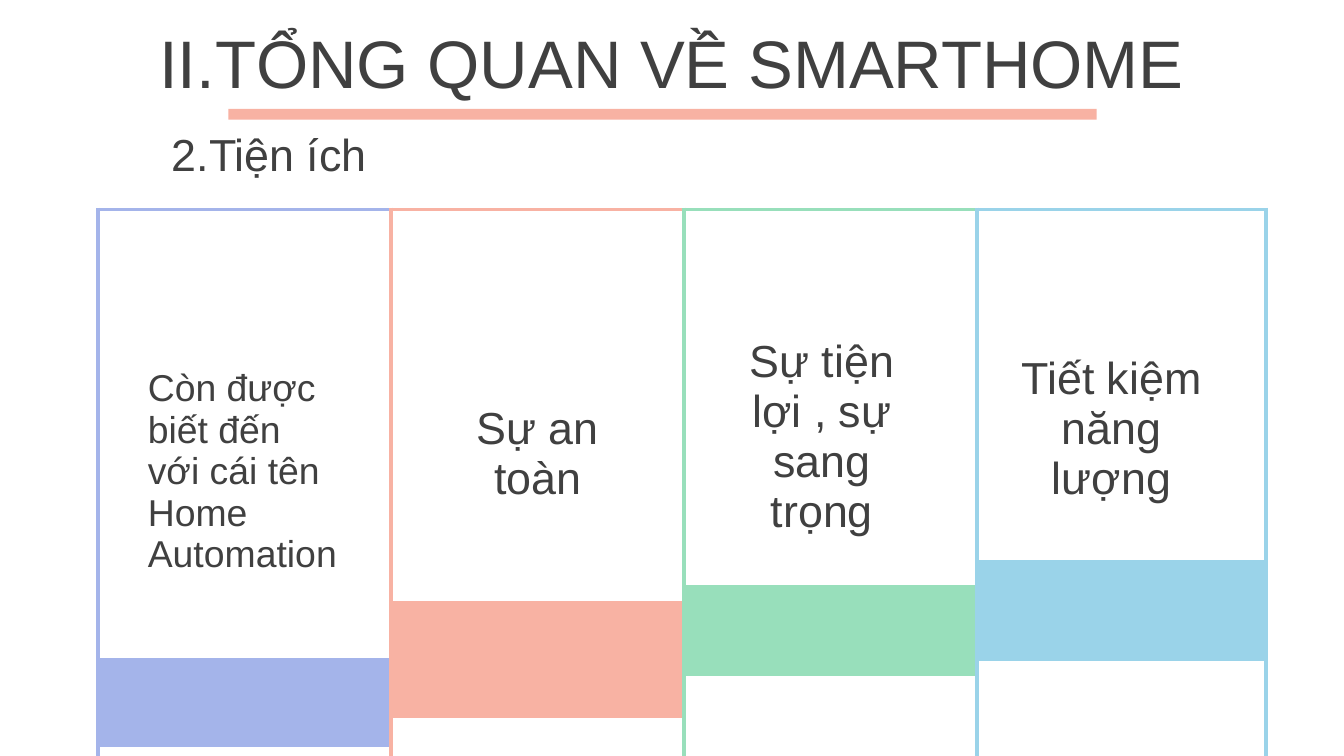
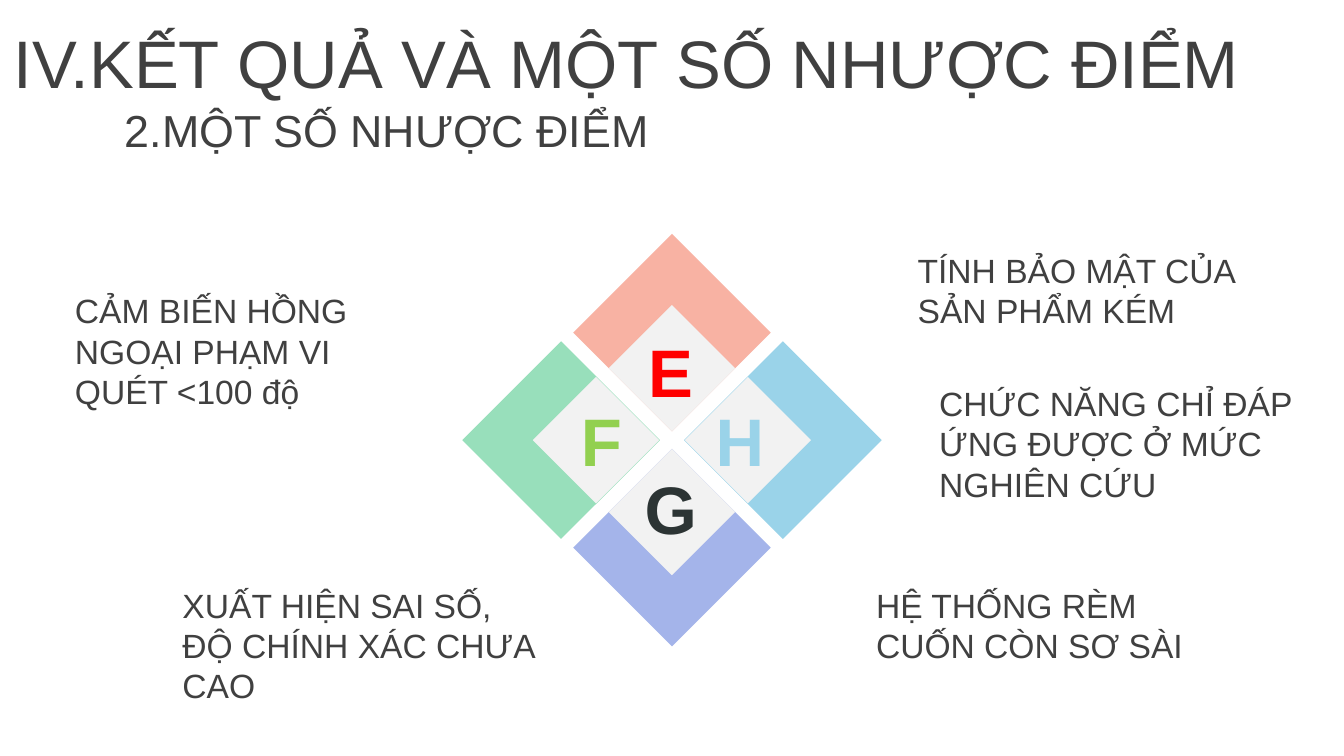
from collections import namedtuple
from dataclasses import dataclass

from lxml import etree
from pptx import Presentation
from pptx.dml.color import RGBColor
from pptx.enum.shapes import MSO_SHAPE
from pptx.enum.text import MSO_ANCHOR, MSO_AUTO_SIZE, PP_ALIGN
from pptx.oxml.ns import qn
from pptx.util import Inches, Pt

RECT, DIAMOND = MSO_SHAPE.RECTANGLE, MSO_SHAPE.DIAMOND
LEFT, CENTER = PP_ALIGN.LEFT, PP_ALIGN.CENTER
TOP, MIDDLE = MSO_ANCHOR.TOP, MSO_ANCHOR.MIDDLE
GROW, FIXED = MSO_AUTO_SIZE.SHAPE_TO_FIT_TEXT, MSO_AUTO_SIZE.NONE

# Square grid: 100 columns across the slide, 56.25 rows down.
COLS, ROWS = 100, 56.25
Box = namedtuple("Box", "x y w h")
TITLE_BOX = Box(0, 1.4, COLS, 6.3)


@dataclass(frozen=True)
class Theme:
    font: str = "Arial"
    ink: str = "404040"
    white: str = "FFFFFF"
    pale: str = "F2F2F2"
    coral: str = "F8B2A3"
    violet: str = "A4B4EA"
    green: str = "98DFBB"
    sky: str = "9AD3E9"
    red: str = "FF0000"
    lime: str = "92D050"
    dark: str = "2C3434"
    title: int = 36
    heading: int = 24
    card: int = 20
    body: int = 18
    filler: int = 8
    border: float = 2.25


T = Theme()


def grid(n):
    return Inches(n * 10 / COLS)


def place(box):
    return [grid(n) for n in box]


def centred(cx, cy, w, h):
    return Box(cx - w / 2, cy - h / 2, w, h)


def write(tf, lines, size, color=T.ink, align=LEFT, bold=False):
    for i, line in enumerate(lines):
        p = tf.add_paragraph() if i else tf.paragraphs[0]
        p.alignment = align
        r = p.add_run()
        r.text = line
        r.font.name, r.font.size, r.font.bold = T.font, Pt(size), bold
        r.font.color.rgb = RGBColor.from_string(color)


def add_text(slide, box, text, size, anchor=TOP, fit=GROW, **style):
    tf = slide.shapes.add_textbox(*place(box)).text_frame
    tf.word_wrap, tf.auto_size, tf.vertical_anchor = True, fit, anchor
    write(tf, [text], size, **style)


def add_block(slide, kind, box, color):
    sp = slide.shapes.add_shape(kind, *place(box))
    sp.shadow.inherit = False
    sp.fill.solid()
    sp.fill.fore_color.rgb = RGBColor.from_string(color)
    sp.line.fill.background()


def add_titled_slide(prs, title, subtitle, sub_box, align=LEFT):
    slide = prs.slides.add_slide(prs.slide_layouts[5])
    sp = slide.shapes.title
    sp.left, sp.top, sp.width, sp.height = place(TITLE_BOX)
    tf = sp.text_frame
    tf.word_wrap, tf.auto_size, tf.vertical_anchor = True, FIXED, MIDDLE
    write(tf, [title], T.title, align=align)
    add_text(slide, sub_box, subtitle, T.heading, MIDDLE, FIXED)
    return slide


def style_cell(cell, fill, edges, color):
    """Fill a cell and draw only the named edges (L, R, T, B)."""
    tc_pr = cell._tc.get_or_add_tcPr()
    for side in "LRTB":
        ln = etree.SubElement(tc_pr, qn(f"a:ln{side}"), w=str(Pt(T.border)))
        if side in edges:
            solid = etree.SubElement(ln, qn("a:solidFill"))
            etree.SubElement(solid, qn("a:srgbClr"), val=color)
        else:
            etree.SubElement(ln, qn("a:noFill"))
    cell.fill.solid()
    cell.fill.fore_color.rgb = RGBColor.from_string(fill)


def shrink_empty(cell):
    cell.margin_left = cell.margin_right = 0
    cell.margin_top = cell.margin_bottom = 0
    p = cell.text_frame.paragraphs[0]._p
    etree.SubElement(p, qn("a:endParaRPr"), sz=str(T.filler * 100))


def add_card(slide, box, color, widths, middle, band_top, band, lines, size, align):
    """Table card: text centred at `middle`, coloured band at `band_top`."""
    pad = 2
    half = band_top - pad - middle
    head = middle - half
    heights = [pad, head - 2 * pad, pad, half, half, pad, band,
               box.h - band_top - band]
    band_row, text_row = 6, 3
    frame = slide.shapes.add_table(len(heights), len(widths), *place(box))
    table = frame.table
    table.first_row = table.horz_banding = False
    for col, w in zip(table.columns, widths):
        col.width = grid(w)
    last_row, last_col = len(heights) - 1, len(widths) - 1
    for i, h in enumerate(heights):
        table.rows[i].height = grid(h)
        wide = i >= band_row
        for j in range(len(widths)):
            edges = {"L": wide or j == 0, "R": wide or j == last_col,
                     "T": i == 0, "B": i == last_row}
            cell = table.cell(i, j)
            style_cell(cell, color if i == band_row else T.white,
                       [side for side, on in edges.items() if on], color)
            if (i, j) != (text_row, 1):
                shrink_empty(cell)
        if wide:
            table.cell(i, 0).merge(table.cell(i, last_col))
    cell = table.cell(text_row, 1)
    cell.merge(table.cell(text_row + 1, 1))
    cell.vertical_anchor = MIDDLE
    write(cell.text_frame, lines, size, align=align)


def build_benefits(prs):
    slide = add_titled_slide(prs, "II.TỔNG QUAN VỀ SMARTHOME", "2.Tiện ích",
                             Box(11.8, 9.9, 82.7, 3.1), CENTER)
    # colour, column widths, text centre, band top, band height, text, size, align
    cards = [
        (T.violet, (2.7, 16.5, 2.6), 19.5, 33.4, 6.6,
         ["Còn được biết đến với cái tên Home", "Automation"], T.card, LEFT),
        (T.coral, (2.5, 16.8, 2.5), 18.2, 29.1, 8.7,
         ["Sự an toàn"], T.heading, CENTER),
        (T.green, (2.3, 15.9, 3.6), 16.9, 27.9, 6.8,
         ["Sự tiện lợi , sự sang trọng"], T.heading, CENTER),
        (T.sky, (2.3, 15.4, 3.8), 16.3, 26.1, 7.5,
         ["Tiết kiệm năng lượng"], T.heading, CENTER),
    ]
    x, top, height = 7.3, 15.6, 42.8
    for color, widths, *rest in cards:
        add_card(slide, Box(x, top, sum(widths), height), color, widths, *rest)
        x += sum(widths)
    add_block(slide, RECT, Box(17, 8.1, 64.6, 0.8), T.coral)


def add_emblem(slide, box):
    """Four diamonds around the centre of the box, each with a tile and a letter."""
    cx, cy = box.x + box.w / 2, box.y + box.h / 2
    big, tile = 14.7, 9.4
    arms = [(0, -1, T.coral, "E", T.red), (0, 1, T.violet, "G", T.dark),
            (-1, 0, T.green, "F", T.lime), (1, 0, T.sky, "H", T.sky)]
    reach_x, reach_y = (box.w - big) / 2, (box.h - big) / 2
    for dx, dy, color, _, _ in arms:
        add_block(slide, DIAMOND,
                  centred(cx + dx * reach_x, cy + dy * reach_y, big, big), color)
    for dx, dy, *_ in arms:
        add_block(slide, DIAMOND,
                  centred(cx + dx * 5.65, cy + dy * 5.35, tile, tile), T.pale)
    for dx, dy, _, letter, color in arms:
        add_text(slide, centred(cx - 0.1 + dx * 5.15, cy + dy * 5.1, 6.1, 7.1),
                 letter, T.title, color=color, align=CENTER, bold=True)


def build_drawbacks(prs):
    slide = add_titled_slide(prs, "IV.KẾT QUẢ VÀ MỘT SỐ NHƯỢC ĐIỂM",
                             "2.MỘT SỐ NHƯỢC ĐIỂM", Box(8.3, 8.1, 82.7, 3.1))
    add_emblem(slide, Box(34.4, 17.4, 31.2, 30.7))
    two_lines, three_lines = 7.1, 10.1
    notes = [
        (4.6, 21.1, three_lines, "CẢM BIẾN HỒNG NGOẠI PHẠM VI QUÉT <100 độ"),
        (67.3, 18.1, two_lines, "TÍNH BẢO MẬT CỦA SẢN PHẨM KÉM"),
        (68.9, 28, three_lines, "CHỨC NĂNG CHỈ ĐÁP ỨNG ĐƯỢC Ở MỨC NGHIÊN CỨU"),
        (64.2, 43, two_lines, "HỆ THỐNG RÈM CUỐN CÒN SƠ SÀI"),
        (12.6, 43, three_lines, "XUẤT HIỆN SAI SỐ, ĐỘ CHÍNH XÁC CHƯA CAO"),
    ]
    for x, y, h, text in notes:
        add_text(slide, Box(x, y, 28.3, h), text, T.body)


def main():
    prs = Presentation()
    prs.slide_width, prs.slide_height = grid(COLS), grid(ROWS)
    build_benefits(prs)
    build_drawbacks(prs)
    prs.save("out.pptx")


if __name__ == "__main__":
    main()
